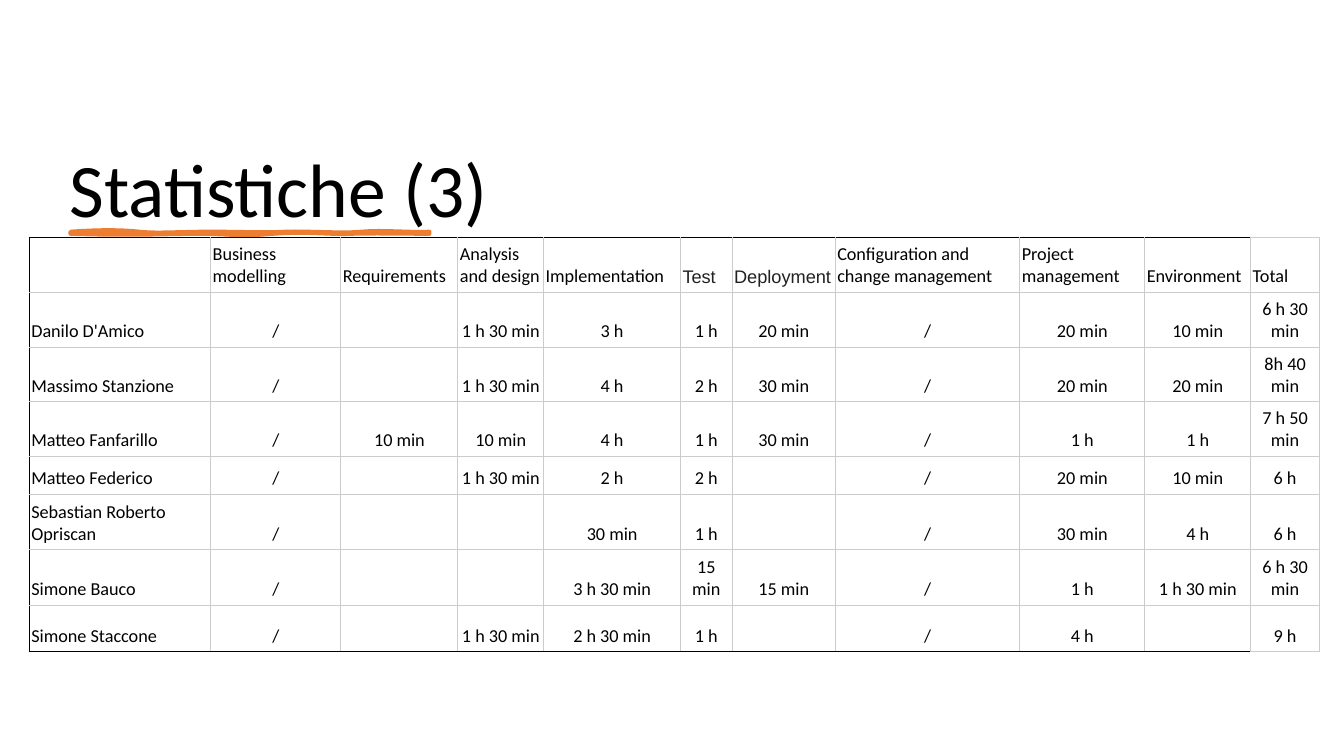
from dataclasses import dataclass

from lxml import etree
from pptx import Presentation
from pptx import util as u
from pptx.dml.color import RGBColor
from pptx.enum import text
from pptx.oxml import ns


@dataclass(frozen=True)
class Theme:
    ink: str = "000000"
    soft_ink: str = "202122"
    accent: str = "ED7D31"
    grid: str = "CCCCCC"
    font: str = "Calibri"
    alternate_font: str = "Arial"
    title_size: int = 54
    cell_size: int = 13
    border_width: float = 0.75
    underline_width: int = 3


THEME = Theme()

COLUMN_WIDTHS = (4.57, 3.28, 2.95, 2.16, 3.45, 1.3, 2.6, 4.65, 3.15, 2.67, 1.73)
ROW_HEIGHTS = (1.39, 1.38, 1.38, 1.38, 0.95, 1.4, 1.39, 1.18)
ALTERNATE_FONT_HEADERS = ("Test", "Deployment")
HOURS = (
    ("", "Business modelling", "Requirements", "Analysis and design", "Implementation", "Test",
     "Deployment", "Configuration and change management", "Project management",
     "Environment", "Total"),
    ("Danilo D'Amico", "/", "", "1 h 30 min", "3 h", "1 h", "20 min", "/",
     "20 min", "10 min", "6 h 30 min"),
    ("Massimo Stanzione", "/", "", "1 h 30 min", "4 h", "2 h", "30 min", "/",
     "20 min", "20 min", "8h 40 min"),
    ("Matteo Fanfarillo", "/", "10 min", "10 min", "4 h", "1 h", "30 min", "/",
     "1 h", "1 h", "7 h 50 min"),
    ("Matteo Federico", "/", "", "1 h 30 min", "2 h", "2 h", "", "/",
     "20 min", "10 min", "6 h"),
    ("Sebastian Roberto Opriscan", "/", "", "", "30 min", "1 h", "", "/",
     "30 min", "4 h", "6 h"),
    ("Simone Bauco", "/", "", "", "3 h 30 min", "15 min", "15 min", "/",
     "1 h", "1 h 30 min", "6 h 30 min"),
    ("Simone Staccone", "/", "", "1 h 30 min", "2 h 30 min", "1 h", "", "/",
     "4 h", "", "9 h"),
)

# Each edge is a start point followed by groups of three curve points, in cm.
UNDERLINE_TOP = (
    (1.78, 5.84), (2.46, 5.79), (3.07, 5.79), (3.51, 5.84),
    (3.94, 5.89), (4.5, 5.84), (5.31, 5.84), (6.12, 5.84), (6.6, 5.87), (7.21, 5.84),
    (7.82, 5.82), (8.61, 5.89), (9.12, 5.84), (9.63, 5.79), (10.46, 5.87), (10.82, 5.84),
)
UNDERLINE_BOTTOM = (
    (10.82, 5.89), (10.36, 5.89), (9.25, 5.87), (8.84, 5.89),
    (8.43, 5.92), (7.72, 5.82), (6.86, 5.89), (5.97, 5.97), (5.87, 5.89), (5.03, 5.89),
    (4.22, 5.89), (3.35, 5.94), (1.78, 5.89),
)


def format_runs(paragraph, size, font, color):
    for run in paragraph.runs:
        run.font.size = u.Pt(size)
        run.font.name = font
        run.font.color.rgb = RGBColor.from_string(color)


def add_title(slide, wording):
    title = slide.shapes.title
    title.left, title.top = u.Cm(1.75), u.Cm(1.78)
    title.width, title.height = u.Cm(13.39), u.Cm(4.11)
    frame = title.text_frame
    frame.text = wording
    frame.word_wrap = True
    frame.auto_size = text.MSO_AUTO_SIZE.NONE
    frame.vertical_anchor = text.MSO_ANCHOR.BOTTOM
    frame.margin_left = frame.margin_right = frame.margin_top = frame.margin_bottom = 0
    paragraph = frame.paragraphs[0]
    paragraph.alignment = text.PP_ALIGN.LEFT
    paragraph.line_spacing = 0.9
    format_runs(paragraph, THEME.title_size, THEME.font, THEME.ink)


def curve_points(edge, steps=8):
    """Return points along a chain of cubic curves."""
    points = [edge[0]]
    for start in range(0, len(edge) - 1, 3):
        a, b, c, d = edge[start:start + 4]
        for step in range(1, steps + 1):
            t = step / steps
            s = 1 - t
            points.append(tuple(
                s ** 3 * a[axis] + 3 * s * s * t * b[axis]
                + 3 * s * t * t * c[axis] + t ** 3 * d[axis] for axis in (0, 1)))
    return points


def add_underline(slide):
    outline = [(u.Cm(x), u.Cm(y))
               for x, y in curve_points(UNDERLINE_TOP) + curve_points(UNDERLINE_BOTTOM)]
    builder = slide.shapes.build_freeform(*outline[0])
    builder.add_line_segments(outline[1:], close=True)
    shape = builder.convert_to_shape()
    shape.shadow.inherit = False
    shape.fill.solid()
    shape.fill.fore_color.rgb = RGBColor.from_string(THEME.accent)
    shape.line.color.rgb = RGBColor.from_string(THEME.accent)
    shape.line.width = u.Pt(THEME.underline_width)


def set_borders(cell, colors):
    """Draw the four borders from colours in the order left, right, top, bottom."""
    properties = cell._tc.get_or_add_tcPr()
    for side, color in zip("LRTB", colors):
        line = etree.SubElement(properties, ns.qn(f"a:ln{side}"),
                                w=str(u.Pt(THEME.border_width)))
        fill = etree.SubElement(line, ns.qn("a:solidFill"))
        etree.SubElement(fill, ns.qn("a:srgbClr"), val=color)


def fill_cell(cell, wording, is_label):
    cell.fill.background()
    cell.vertical_anchor = text.MSO_ANCHOR.BOTTOM
    cell.margin_left = cell.margin_right = u.Cm(0.05)
    cell.margin_top = cell.margin_bottom = u.Cm(0.12)
    cell.text_frame.text = wording
    paragraph = cell.text_frame.paragraphs[0]
    paragraph.alignment = text.PP_ALIGN.LEFT if is_label else text.PP_ALIGN.CENTER
    if wording in ALTERNATE_FONT_HEADERS:
        format_runs(paragraph, THEME.cell_size, THEME.alternate_font, THEME.soft_ink)
    else:
        format_runs(paragraph, THEME.cell_size, THEME.font, THEME.ink)
    if not wording:
        etree.SubElement(paragraph._p, ns.qn("a:endParaRPr"), sz=str(THEME.cell_size * 100))


def add_hours_table(slide):
    table = slide.shapes.add_table(
        len(HOURS), len(COLUMN_WIDTHS), u.Cm(0.74), u.Cm(5.98),
        u.Cm(sum(COLUMN_WIDTHS)), u.Cm(sum(ROW_HEIGHTS))).table
    table.first_row = table.horz_banding = False
    for column, width in zip(table.columns, COLUMN_WIDTHS):
        column.width = u.Cm(width)
    for row, height in zip(table.rows, ROW_HEIGHTS):
        row.height = u.Cm(height)
    last_row, total_column = len(HOURS) - 1, len(COLUMN_WIDTHS) - 1
    for row_index, row in enumerate(HOURS):
        for column_index, wording in enumerate(row):
            cell = table.cell(row_index, column_index)
            in_frame = column_index < total_column
            on_frame = (column_index == 0, False,
                        row_index == 0 and in_frame, row_index == last_row and in_frame)
            set_borders(cell, [THEME.ink if dark else THEME.grid for dark in on_frame])
            fill_cell(cell, wording, is_label=row_index == 0 or column_index == 0)


def main():
    presentation = Presentation()
    presentation.slide_width, presentation.slide_height = u.Cm(33.87), u.Cm(19.05)
    slide = presentation.slides.add_slide(presentation.slide_layouts[5])
    add_title(slide, "Statistiche (3)")
    add_underline(slide)
    add_hours_table(slide)
    presentation.save("out.pptx")


if __name__ == "__main__":
    main()
